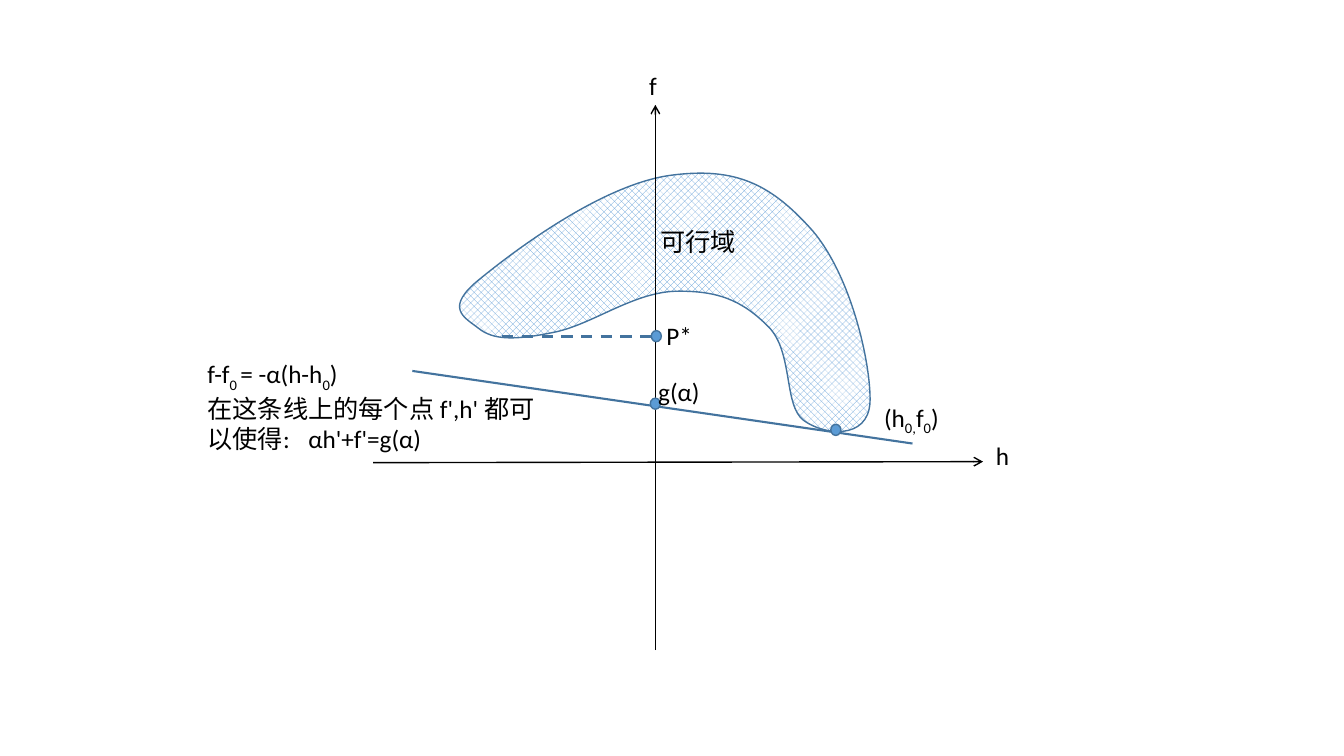
"""Feasible region in the h-f plane with its supporting line and dual value."""
import math
from dataclasses import dataclass

import lxml.etree
import pptx
import pptx.dml.color
import pptx.enum.dml
import pptx.enum.shapes
import pptx.enum.text
import pptx.oxml.ns
import pptx.slide
import pptx.util

Inches, Pt = pptx.util.Inches, pptx.util.Pt
RGBColor = pptx.dml.color.RGBColor
qn = pptx.oxml.ns.qn
BLACK = RGBColor(0x00, 0x00, 0x00)
WHITE = RGBColor(0xFF, 0xFF, 0xFF)
BLUE = RGBColor(0x5B, 0x9B, 0xD5)
DARK_BLUE = RGBColor(0x43, 0x73, 0x9E)
DOT_WIDTH, DOT_HEIGHT = 0.1, 0.11

Point = tuple[float, float]


@dataclass(frozen=True)
class Line:
    start: Point
    end: Point
    color: RGBColor
    width: float
    arrow: bool = False
    dashed: bool = False


@dataclass(frozen=True)
class Label:
    left: float
    top: float
    width: float
    paragraphs: tuple[tuple[str, ...], ...]
    height: float = 0.42
    wrap: bool = False


REGION_LEFT, REGION_TOP, REGION_WIDTH, REGION_HEIGHT = 4.84, 1.68, 4.11, 2.52
REGION_ROTATION = 27
REGION_START = (4.77, 2.76)
REGION_CURVES = [
    ((5.15, 2.45), (5.99, 1.83), (6.65, 1.74)),
    ((7.31, 1.65), (7.66, 1.84), (8.06, 2.29)),
    ((8.45, 2.75), (8.64, 3.62), (8.63, 3.99)),
    ((8.61, 4.37), (8.17, 4.32), (7.97, 4.17)),
    ((7.77, 4.02), (7.87, 3.49), (7.62, 3.24)),
    ((7.36, 2.98), (7.12, 2.88), (6.69, 2.89)),
    ((6.26, 2.91), (5.86, 3.23), (5.48, 3.3)),
    ((5.09, 3.38), (4.89, 3.37), (4.75, 3.26)),
    ((4.61, 3.15), (4.39, 3.06), REGION_START),
]
LINES = [
    Line((6.5, 6.45), (6.5, 1.04), BLACK, 1, arrow=True),
    Line((3.7, 4.59), (9.75, 4.58), BLACK, 1, arrow=True),
    Line((4.98, 3.34), (6.49, 3.34), DARK_BLUE, 2, dashed=True),
    Line((4.09, 3.68), (9.05, 4.4), DARK_BLUE, 1.5),
]
DOTS = [(6.46, 3.28), (8.24, 4.21), (6.45, 3.95)]
LABELS = [
    Label(6.51, 3.13, 0.89, (("P*",),), wrap=True),
    Label(9.78, 4.32, 0.35, (("h",),)),
    Label(6.34, 0.65, 0.28, (("f",),)),
    Label(8.67, 3.94, 0.8, (("(h", "0,", "f", "0", ")"),)),
    Label(1.96, 3.51, 3.63,
          (("f-f", "0 ", "= -α(h-h", "0", ")"),
           ("在这条线上的每个点 f',h' 都可以使得: \tαh'+f'=g(α)",)),
          height=1.02, wrap=True),
    Label(6.43, 3.68, 0.64, (("g(α)",),)),
    Label(6.45, 2.2, 0.95, (("可行域",),)),
]


def to_region(point: Point) -> Point:
    """Turn a slide point into the unrotated frame of the region, in EMU."""
    angle = math.radians(REGION_ROTATION)
    dx = point[0] - REGION_LEFT - REGION_WIDTH / 2
    dy = point[1] - REGION_TOP - REGION_HEIGHT / 2
    x = dx * math.cos(angle) + dy * math.sin(angle) + REGION_WIDTH / 2
    y = dy * math.cos(angle) - dx * math.sin(angle) + REGION_HEIGHT / 2
    return Inches(x), Inches(y)


def draw_region(s: pptx.slide.Slide) -> None:
    """Draw the hatched feasible region as smooth curves."""
    builder = s.shapes.build_freeform(*to_region(REGION_START))
    builder.add_line_segments([to_region(curve[-1]) for curve in REGION_CURVES])
    sp = builder.convert_to_shape()
    sp.left, sp.top = Inches(REGION_LEFT), Inches(REGION_TOP)
    sp.width, sp.height = Inches(REGION_WIDTH), Inches(REGION_HEIGHT)
    sp.rotation = REGION_ROTATION

    outline = next(sp._element.iter(qn("a:path")))
    outline.clear()
    outline.set("w", str(sp.width))
    outline.set("h", str(sp.height))
    steps = [("a:moveTo", (REGION_START,))]
    steps += [("a:cubicBezTo", curve) for curve in REGION_CURVES]
    for tag, points in steps:
        step = lxml.etree.SubElement(outline, qn(tag))
        for x, y in map(to_region, points):
            lxml.etree.SubElement(step, qn("a:pt"), x=str(x), y=str(y))
    lxml.etree.SubElement(outline, qn("a:close"))

    sp.shadow.inherit = False
    sp.fill.patterned()
    sp.fill.pattern = pptx.enum.dml.MSO_PATTERN.PERCENT_50
    sp.fill.fore_color.rgb = BLUE
    sp.fill.back_color.rgb = WHITE
    sp.line.color.rgb = DARK_BLUE
    sp.line.width = Pt(1)


def draw_line(s: pptx.slide.Slide, line: Line) -> None:
    """Draw a straight line, optionally dashed or with an arrowhead."""
    sp = s.shapes.add_connector(
        pptx.enum.shapes.MSO_CONNECTOR.STRAIGHT,
        *(Inches(v) for v in line.start + line.end))
    sp.line.color.rgb = line.color
    sp.line.width = Pt(line.width)
    if line.dashed:
        sp.line.dash_style = pptx.enum.dml.MSO_LINE.DASH
    properties = sp._element.spPr
    if line.arrow:
        lxml.etree.SubElement(properties.find(qn("a:ln")), qn("a:tailEnd"), type="arrow")
    lxml.etree.SubElement(properties, qn("a:effectLst"))


def draw_dot(s: pptx.slide.Slide, left: float, top: float) -> None:
    """Draw a point marker."""
    sp = s.shapes.add_shape(
        pptx.enum.shapes.MSO_SHAPE.OVAL,
        Inches(left), Inches(top), Inches(DOT_WIDTH), Inches(DOT_HEIGHT))
    sp.shadow.inherit = False
    sp.fill.solid()
    sp.fill.fore_color.rgb = BLUE
    sp.line.color.rgb = DARK_BLUE
    sp.line.width = Pt(1)


def draw_label(s: pptx.slide.Slide, label: Label) -> None:
    """Draw a text label whose odd runs are subscripts."""
    sp = s.shapes.add_textbox(
        Inches(label.left), Inches(label.top), Inches(label.width), Inches(label.height))
    tf = sp.text_frame
    tf.word_wrap = label.wrap
    tf.auto_size = pptx.enum.text.MSO_AUTO_SIZE.SHAPE_TO_FIT_TEXT
    for i, runs in enumerate(label.paragraphs):
        p = tf.add_paragraph() if i else tf.paragraphs[0]
        for j, text in enumerate(runs):
            r = p.add_run()
            r.text = text
            r.font.name = "Calibri"
            r.font.size = Pt(18)
            r.font.color.rgb = BLACK
            if j % 2:
                r._r.get_or_add_rPr().set("baseline", "-25000")


def main() -> None:
    """Build and save the slide."""
    prs = pptx.Presentation()
    prs.slide_width, prs.slide_height = Inches(13.33), Inches(7.5)
    s = prs.slides.add_slide(prs.slide_layouts[6])
    draw_region(s)
    for line in LINES:
        draw_line(s, line)
    for dot in DOTS:
        draw_dot(s, *dot)
    for label in LABELS:
        draw_label(s, label)
    prs.save("out.pptx")


main()
